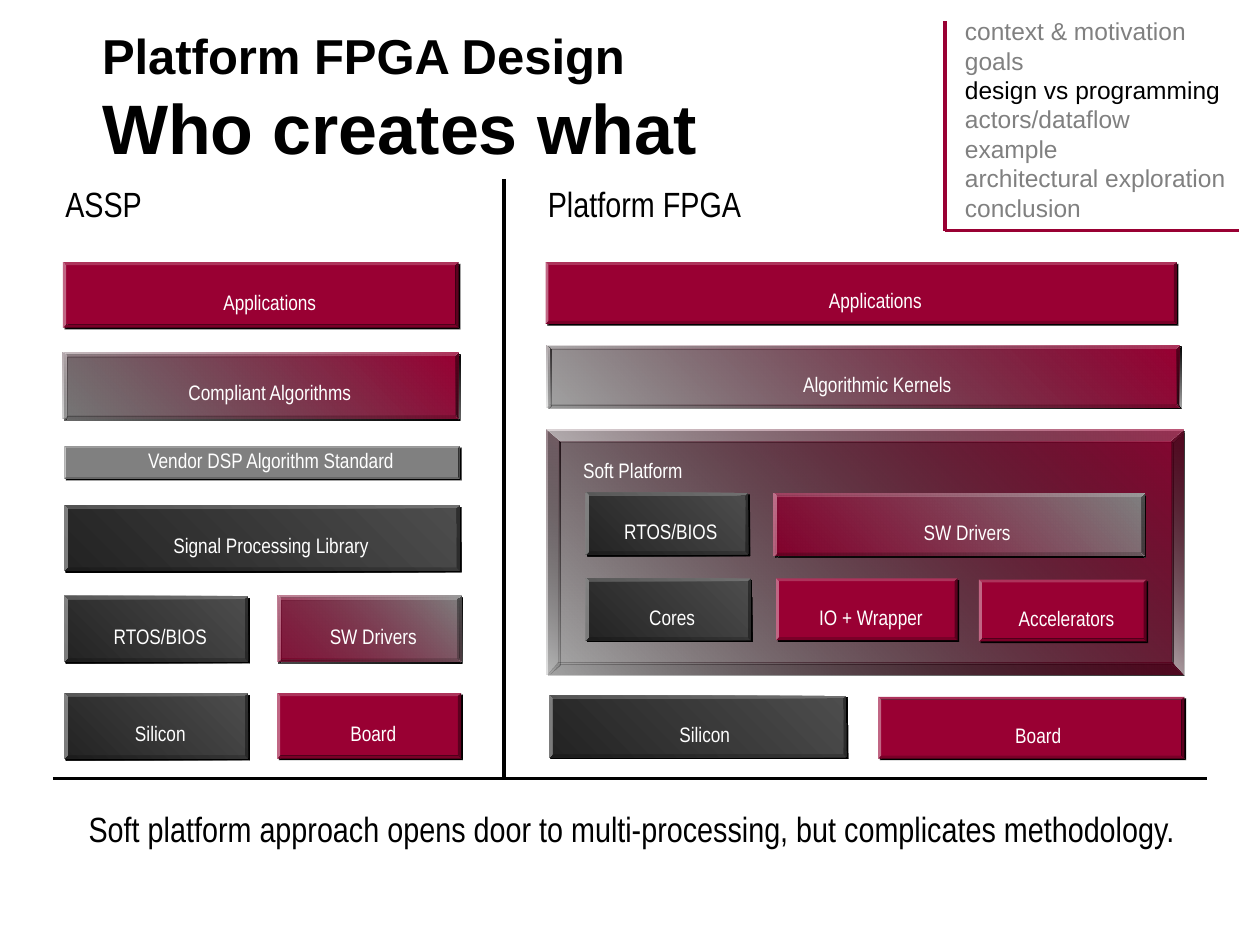
from lxml.etree import SubElement
from pptx import Presentation
from pptx.dml.color import RGBColor
from pptx.enum.shapes import MSO_CONNECTOR as Link, MSO_SHAPE as Shape
from pptx.enum.text import MSO_ANCHOR as Anchor, PP_ALIGN as Align
from pptx.oxml.ns import qn
from pptx.util import Inches, Pt

RED = RGBColor(0x99, 0x00, 0x33)
GRAY = RGBColor(0x80, 0x80, 0x80)
DARK = RGBColor(0x4D, 0x4D, 0x4D)
COAL = RGBColor(0x23, 0x23, 0x23)
BLACK = RGBColor(0, 0, 0)
WHITE = RGBColor(255, 255, 255)

# Content: titles, agenda and captions
TITLE = [("Platform FPGA Design", 28), ("Who creates what", 40)]
AGENDA = ["context & motivation", "goals", "design vs programming",
          "actors/dataflow", "example", "architectural exploration",
          "conclusion"]
NOW = "design vs programming"
HEADS = [("ASSP", 0.42, 1), ("Platform FPGA", 4.25, 2.2)]
CLAIM = ("Soft platform approach opens door to multi-processing, "
         "but complicates methodology.")

# Fills: (colour, opacity in percent), top right to bottom left
CHIP = [(DARK, 100), (COAL, 100)]
ALGO = [(RED, 100), (GRAY, 59)]
KERNEL = [(RED, 100), (GRAY, 31)]
SOFT = [(RED, 83), (BLACK, 20)]
DRIVER = [(GRAY, 100), (RED, 71)]
DRIVER2 = [(GRAY, 100), (RED, 84)]

# Blocks: text, left, top, width, fill
ASSP_H, FPGA_H = 0.52, 0.49
ASSP = [
    ("Applications", 0.5, 2.08, 3.14, RED),
    ("Compliant Algorithms", 0.5, 2.8, 3.14, ALGO),
    ("Signal Processing Library", 0.51, 4.01, 3.14, CHIP),
    ("RTOS/BIOS", 0.51, 4.73, 1.46, CHIP),
    ("SW Drivers", 2.2, 4.73, 1.46, DRIVER),
    ("Silicon", 0.51, 5.5, 1.46, CHIP),
    ("Board", 2.2, 5.5, 1.46, RED),
]
FPGA = [
    ("Applications", 4.33, 2.08, 5.01, RED),
    ("Algorithmic Kernels", 4.34, 2.74, 5.02, KERNEL),
    ("RTOS/BIOS", 4.65, 3.91, 1.29, CHIP),
    ("SW Drivers", 6.14, 3.92, 2.94, DRIVER2),
    ("Cores", 4.65, 4.59, 1.31, CHIP),
    ("IO + Wrapper", 6.16, 4.59, 1.44, RED),
    ("Accelerators", 7.77, 4.6, 1.33, RED),
    ("Silicon", 4.36, 5.52, 2.36, CHIP),
    ("Board", 6.97, 5.53, 2.43, RED),
]
STANDARD = ("Vendor DSP Algorithm Standard", 0.51, 3.54, 3.14, 0.26, GRAY)
PLATFORM = ("Soft Platform", 4.34, 3.41, 5.05, 1.94, SOFT)

# Lines: x1, y1, x2, y2, colour
LINES = [
    (4, 1.42, 4, 6.18, BLACK),
    (0.42, 6.18, 9.58, 6.18, BLACK),
    (7.5, 0.17, 7.5, 1.83, RED),
    (9.83, 1.83, 7.5, 1.83, RED),
]

deck = Presentation()
deck.slide_width, deck.slide_height = Inches(10), Inches(7.5)
slide = deck.slides.add_slide(deck.slide_layouts[5])
shapes = slide.shapes


def style(font, color, **values):
    for name, value in values.items():
        setattr(font, name, value)
    font.color.rgb = color


def write(rows, spot, size, face="Arial Narrow", align=Align.LEFT):
    """Add a text box; rows holds (text, colour) pairs."""
    frame = shapes.add_textbox(*map(Inches, spot)).text_frame
    frame.word_wrap = True
    for i, (text, color) in enumerate(rows):
        para = frame.add_paragraph() if i else frame.paragraphs[0]
        para.alignment = align
        run = para.add_run()
        run.text = text
        style(run.font, color, name=face, size=Pt(size))


def block(left, top, width, height, paint):
    """Add a bevel with a hard shadow and a solid or gradient fill."""
    item = shapes.add_shape(Shape.BEVEL, *map(Inches, (left, top, width, height)))
    item.adjustments[0] = 0.047
    item.line.fill.background()
    if isinstance(paint, RGBColor):
        item.fill.solid()
        item.fill.fore_color.rgb = paint
    else:
        item.fill.gradient()
        item.fill.gradient_angle = 225
        for stop, (color, _) in zip(item.fill.gradient_stops, paint):
            stop.color.rgb = color
        tones = item.element.spPr.iter(qn("a:srgbClr"))
        for tone, (_, alpha) in zip(list(tones), paint):
            SubElement(tone, qn("a:alpha"), val=str(alpha * 1000))
    item.shadow.inherit = False
    effect = item.element.spPr.find(qn("a:effectLst"))
    shade = SubElement(effect, qn("a:outerShdw"), blurRad="0", dist=str(Pt(1.4)),
                       dir="2700000", algn="ctr", rotWithShape="0")
    SubElement(shade, qn("a:srgbClr"), val=str(BLACK))


def label(text, left, top, width):
    """Centre a caption a little right of the middle of its block."""
    spot = (left + 0.135 * width, top, 0.775 * width, 0.3)
    write([(text, WHITE)], spot, 12, align=Align.CENTER)


# Title
title = shapes.title
title.left, title.top, title.width, title.height = map(
    Inches, (0.71, 0.23, 8.67, 1.08))
title.text_frame.vertical_anchor = Anchor.MIDDLE
para = title.text_frame.paragraphs[0]
para.alignment = Align.LEFT
for i, (text, size) in enumerate(TITLE):
    if i:
        para.add_line_break()
    run = para.add_run()
    run.text = text
    style(run.font, BLACK, name="Arial", size=Pt(size), bold=True)

# Container and thin bar, whose captions sit apart
text, left, top, width, height, paint = PLATFORM
block(left, top, width, height, paint)
write([(text, WHITE)], (left + 0.19, top + 0.17, 3.86, 0.3), 12)
text, left, top, width, height, paint = STANDARD
block(left, top, width, height, paint)
label(text, left, top - 0.04, width)

# Both stacks
for stack, height in ((ASSP, ASSP_H), (FPGA, FPGA_H)):
    for text, left, top, width, paint in stack:
        block(left, top, width, height, paint)
        label(text, left, top + 0.32 * height, width)

# Headings, claim and agenda
for text, left, width in HEADS:
    write([(text, BLACK)], (left, 1.4, width, 0.44), 20)
write([(CLAIM, BLACK)], (0.54, 6.36, 8.95, 0.44), 20, align=Align.CENTER)
write([(text, BLACK if text == NOW else GRAY) for text in AGENDA],
      (7.56, 0.08, 2.4, 1.74), 14, face="Arial")

# Dividers and agenda frame
for *ends, color in LINES:
    line = shapes.add_connector(Link.STRAIGHT, *map(Inches, ends))
    line.line.color.rgb = color
    line.line.width = Pt(2)
    SubElement(line.element.spPr, qn("a:effectLst"))

deck.save("out.pptx")
